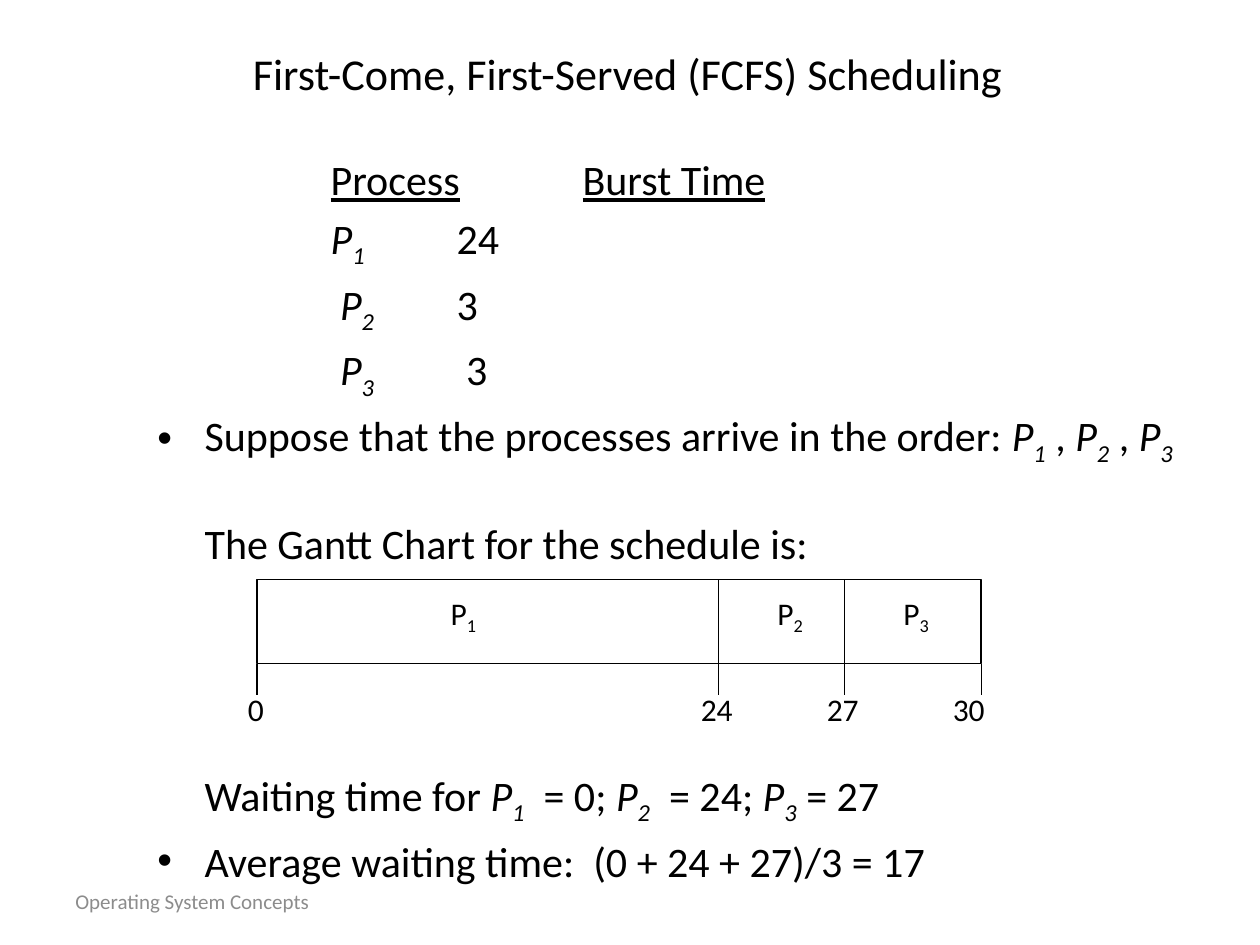
from lxml import etree
from pptx import Presentation
from pptx.dml.color import RGBColor
from pptx.enum import shapes, text
from pptx.oxml.ns import qn
from pptx.util import Cm, Pt

BLACK = "000000"


def add_text(p, pieces, size, color=BLACK, slant=True, underline=None):
    """Add pieces as runs; "P1" gets a subscript and "\\n" becomes a line break."""
    for piece in pieces:
        if piece == "\n":
            p.add_line_break()
            etree.SubElement(p._p[-1], qn("a:rPr"), sz=str(size * 100))
            continue
        is_process = piece in ("P1", "P2", "P3")
        for i, part in enumerate(piece if is_process else [piece]):
            r = p.add_run()
            r.text = part
            r.font.name = "Calibri"
            r.font.size = Pt(size)
            r.font.color.rgb = RGBColor.from_string(color)
            if is_process and slant:
                r.font.italic = True
            if underline and part in underline:
                r.font.underline = True
            if is_process and i == 1:
                r.font._element.set("baseline", "-25000")


def add_box(left, top, width, height, pieces, size, color=BLACK, align=None):
    box = s.shapes.add_textbox(Cm(left), Cm(top), Cm(width), Cm(height))
    tf = box.text_frame
    tf.word_wrap = True
    tf.vertical_anchor = text.MSO_ANCHOR.MIDDLE
    tf.paragraphs[0].alignment = align
    add_text(tf.paragraphs[0], pieces, size, color, slant=False)


prs = Presentation()
prs.slide_width, prs.slide_height = Cm(25.4), Cm(19.05)
s = prs.slides.add_slide(prs.slide_layouts[1])

# Footer
add_box(1.27, 17.65, 5.92, 1.02, ["Operating System Concepts"], 12, "8C8C8C")

# Title and body
title, body = s.placeholders
for sp, place in ((title, (1.07, 0.84, 23.16, 1.27)),
                  (body, (2.92, 2.97, 21.01, 13.34))):
    sp.left, sp.top, sp.width, sp.height = [Cm(v) for v in place]
    sp.text_frame.auto_size = text.MSO_AUTO_SIZE.NONE
add_text(title.text_frame.paragraphs[0],
         ["First-Come, First-Served (FCFS) Scheduling"], 25.2)

rows = [
    (False, ["\t\t", "Process", "\t", "Burst Time"]),
    (False, ["\t\t", "P1", "\t24"]),
    (False, ["\t\t ", "P2", " \t3"]),
    (False, ["\t\t ", "P3", "\t 3"]),
    (True, ["Suppose that the processes arrive in the order: ",
            "P1", " , ", "P2", " , ", "P3", "\n", "\n",
            "The Gantt Chart for the schedule is:", *["\n"] * 5,
            "Waiting time for ", "P1", "  = 0; ", "P2", "  = 24; ", "P3", " = 27"]),
    (True, ["Average waiting time:  (0 + 24 + 27)/3 = 17"]),
]
tf = body.text_frame
for i, (bulleted, pieces) in enumerate(rows):
    p = tf.paragraphs[0] if i == 0 else tf.add_paragraph()
    pPr = p._p.get_or_add_pPr()
    pPr.set("marL", str(Cm(0.95)))
    pPr.set("indent", str(Cm(-0.95)))
    pPr.set("defTabSz", str(Cm(2.54)))
    if bulleted:
        etree.SubElement(pPr, qn("a:buChar"), char="•")
    else:
        etree.SubElement(pPr, qn("a:buNone"))
    tabs = etree.SubElement(pPr, qn("a:tabLst"))
    for stop in (8.43, 12.88):
        etree.SubElement(tabs, qn("a:tab"), pos=str(Cm(stop)), algn="ctr")
    add_text(p, pieces, 24, underline=("Process", "Burst Time"))

# Gantt chart
top, bottom, tick_end = 11.68, 13.38, 14.02
edges = [5.18, 14.48, 17.02, 19.78]
bar = s.shapes.add_shape(shapes.MSO_SHAPE.RECTANGLE, Cm(edges[0]), Cm(top),
                         Cm(edges[-1] - edges[0]), Cm(bottom - top))
bar.shadow.inherit = False
bar.fill.solid()
bar.fill.fore_color.rgb = RGBColor.from_string("FFFFFF")
bar.line.color.rgb = RGBColor.from_string(BLACK)
bar.line.width = Pt(0.75)

for name, center in (("P1", 9.34), ("P2", 15.93), ("P3", 18.47)):
    add_box(center - 0.75, 11.89, 1.5, 1.02, [name], 18, align=text.PP_ALIGN.CENTER)

lines = [(x, bottom, tick_end) for x in edges]
lines += [(x, top, bottom) for x in edges[1:-1]]
for x, start, end in lines:
    line = s.shapes.add_connector(shapes.MSO_CONNECTOR.STRAIGHT,
                                  Cm(x), Cm(start), Cm(x), Cm(end))
    line.line.color.rgb = RGBColor.from_string(BLACK)
    line.line.width = Pt(0.75)
    etree.SubElement(line._element.spPr, qn("a:effectLst"))

for time, center in (("0", 5.16), ("24", 14.45), ("27", 16.99), ("30", 19.53)):
    add_box(center - 0.75, 13.79, 1.5, 1.02, [time], 18, align=text.PP_ALIGN.CENTER)

prs.save("out.pptx")
